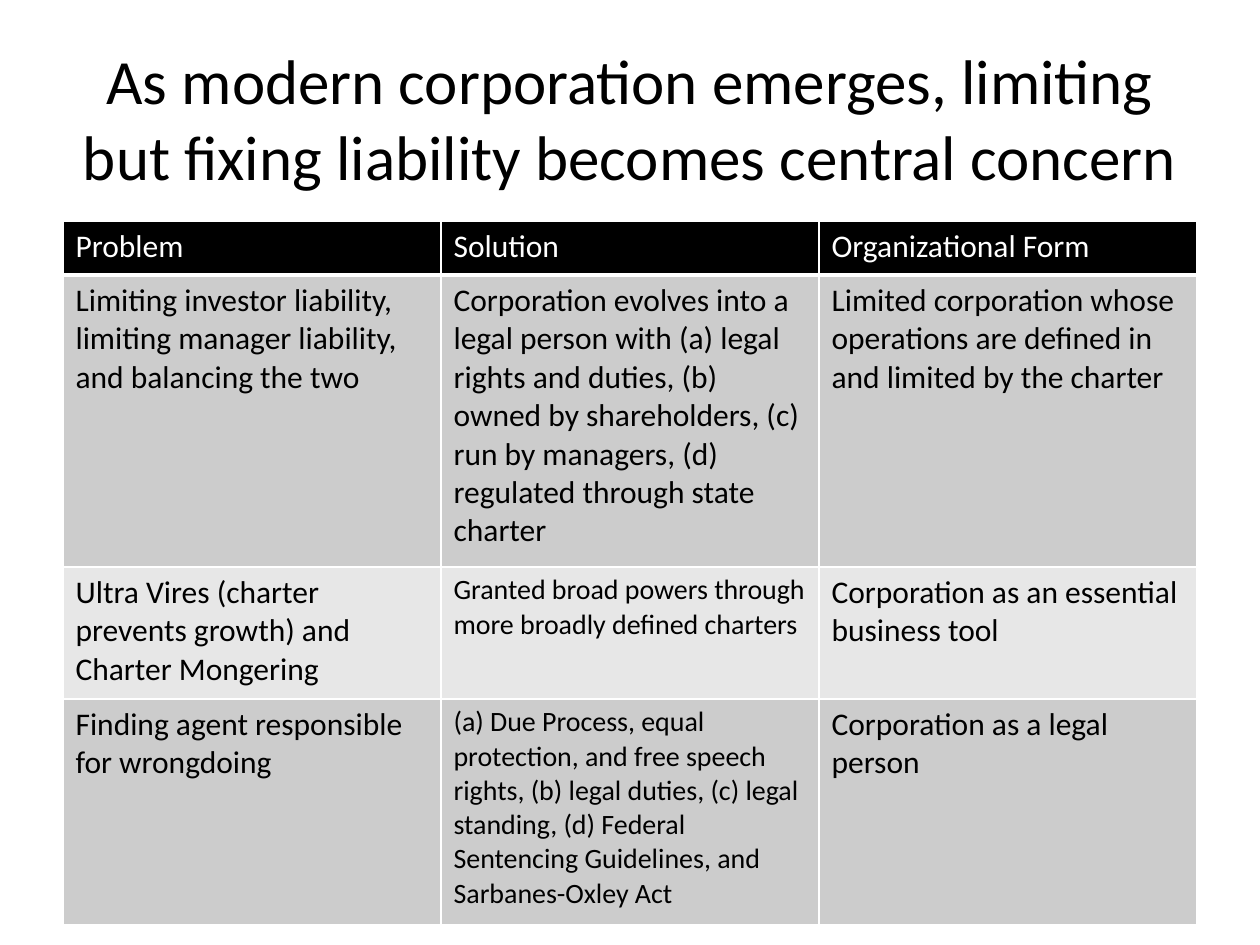
from lxml import etree
from pptx import Presentation
from pptx import util as u
from pptx.dml.color import RGBColor
from pptx.enum import text
from pptx.oxml import ns

COLORS = {"ink": "000000", "paper": "FFFFFF", "dark_band": "CCCCCC", "light_band": "E7E7E7"}
FONT = "Calibri"
HEADINGS = ["Problem", "Solution", "Organizational Form"]
STAGES = [
    ["Limiting investor liability, limiting manager liability, and balancing the two",
     "Corporation evolves into a legal person with (a) legal rights and duties, "
     "(b) owned by shareholders, (c) run by managers, (d) regulated through state charter",
     "Limited corporation whose operations are defined in and limited by the charter"],
    ["Ultra Vires (charter prevents growth) and Charter Mongering",
     "Granted broad powers through more broadly defined charters",
     "Corporation as an essential business tool"],
    ["Finding agent responsible for wrongdoing",
     "(a) Due Process, equal protection, and free speech rights, (b) legal duties, "
     "(c) legal standing, (d) Federal Sentencing Guidelines, and Sarbanes-Oxley Act",
     "Corporation as a legal person"],
]
ROW_HEIGHTS = [54, 292, 132, 226]
SMALLER = {(2, 1), (3, 1)}


def px(length):
    return u.Emu(round(length * 914400 / 126))


def color(name):
    return RGBColor.from_string(COLORS[name])


def write(frame, wording, size, ink):
    paragraph = frame.paragraphs[0]
    paragraph.text = wording
    paragraph.font.name = FONT
    paragraph.font.size = u.Pt(size)
    paragraph.font.bold = False
    paragraph.font.color.rgb = color(ink)
    return paragraph


def add_borders(cell, bottom_width):
    properties = cell._tc.get_or_add_tcPr()
    widths = {"lnL": 1, "lnR": 1, "lnT": 1, "lnB": bottom_width}
    for position, (side, width) in enumerate(widths.items()):
        line = etree.Element(ns.qn("a:" + side), w=str(u.Pt(width)))
        fill = etree.SubElement(line, ns.qn("a:solidFill"))
        etree.SubElement(fill, ns.qn("a:srgbClr"), val=COLORS["paper"])
        properties.insert(position, line)


def add_title(slide, left, top, width, height):
    frame = slide.shapes.add_textbox(px(left), px(top), px(width), px(height)).text_frame
    frame.word_wrap = True
    frame.vertical_anchor = text.MSO_ANCHOR.MIDDLE
    title = write(frame, "As modern corporation emerges, limiting but fixing liability "
                         "becomes central concern", 36, "ink")
    title.alignment = text.PP_ALIGN.CENTER


def add_liability_table(slide, left, top, width):
    rows = [HEADINGS] + STAGES
    table = slide.shapes.add_table(len(rows), len(HEADINGS), px(left), px(top),
                                   px(width), px(sum(ROW_HEIGHTS))).table
    for column in table.columns:
        column.width = px(width / len(HEADINGS))
    for r, (wordings, height) in enumerate(zip(rows, ROW_HEIGHTS)):
        table.rows[r].height = px(height)
        band = "ink" if r == 0 else "dark_band" if r % 2 else "light_band"
        for c, wording in enumerate(wordings):
            cell = table.cell(r, c)
            cell.fill.solid()
            cell.fill.fore_color.rgb = color(band)
            write(cell.text_frame, wording, 16 if (r, c) in SMALLER else 18,
                  "paper" if r == 0 else "ink")
            add_borders(cell, 3 if r == 0 else 1)


deck = Presentation()
deck.slide_width, deck.slide_height = px(1260), px(945)
slide = deck.slides.add_slide(deck.slide_layouts[6])
add_title(slide, 63, 38, 1134, 158)
add_liability_table(slide, 63, 221, 1134)
deck.save("out.pptx")
